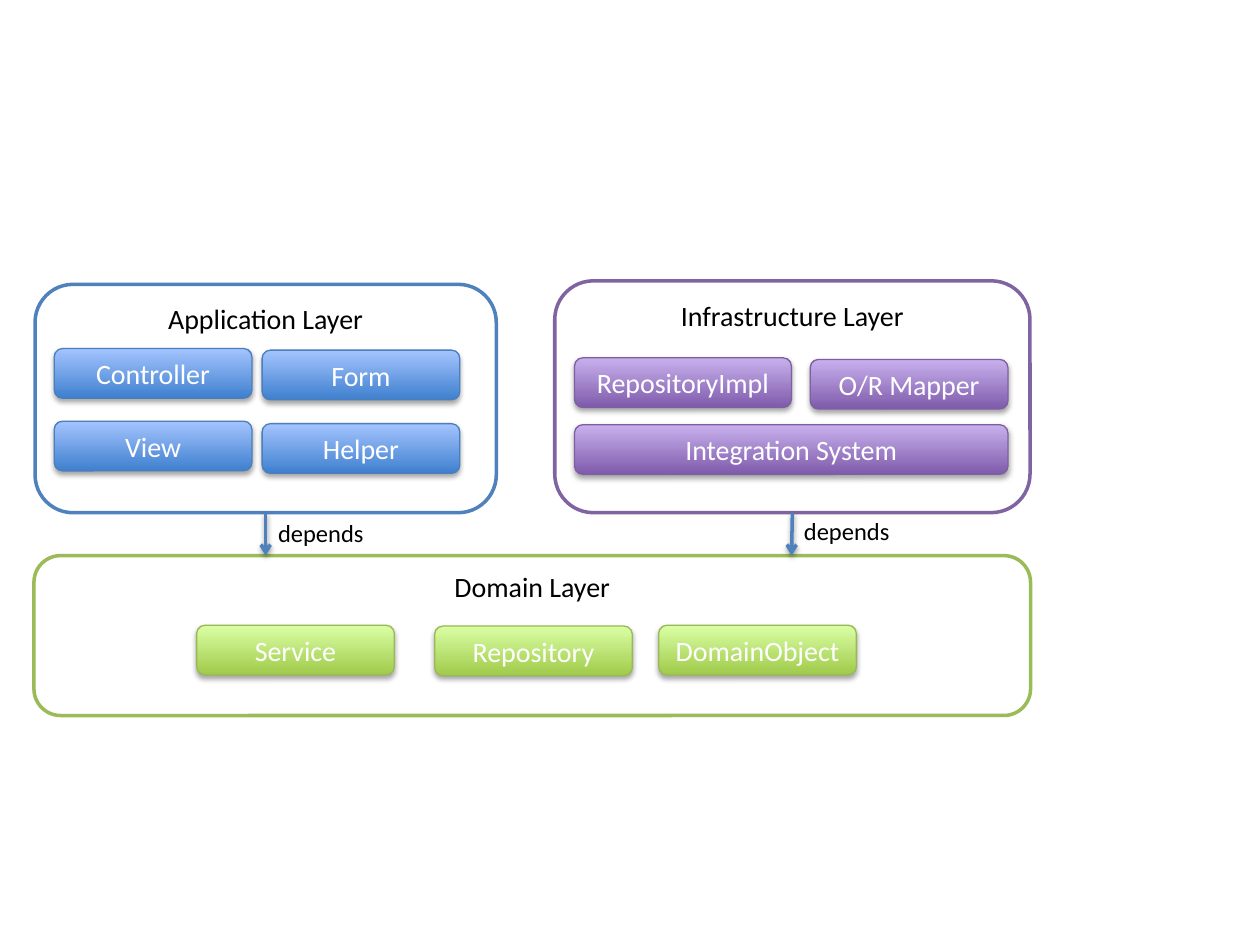
from lxml import etree
from pptx import Presentation
from pptx import util as u
from pptx.dml.color import RGBColor
from pptx.enum import shapes, text
from pptx.oxml import ns

Pt = u.Pt
BLACK = RGBColor(0x00, 0x00, 0x00)
WHITE = RGBColor(0xFF, 0xFF, 0xFF)
BLUE = RGBColor(0x4F, 0x81, 0xBD)
GREEN = RGBColor(0x9B, 0xBB, 0x59)
PURPLE = RGBColor(0x80, 0x64, 0xA2)
BLUE_BOX = (RGBColor(0x3F, 0x80, 0xCE), RGBColor(0xA4, 0xC4, 0xFF), RGBColor(0x4B, 0x7E, 0xBC))
GREEN_BOX = (RGBColor(0xA0, 0xCA, 0x4A), RGBColor(0xDA, 0xFF, 0xA5), RGBColor(0x98, 0xB9, 0x55))
PURPLE_BOX = (RGBColor(0x7F, 0x5B, 0xAB), RGBColor(0xC8, 0xB0, 0xED), RGBColor(0x7D, 0x60, 0xA0))
BOX_W, BOX_H = 113, 28.4


class Diagram:
    font = "Calibri"
    size = 16
    label_size = 14
    line_width = 2
    box_line_width = 0.75

    def __init__(self, s):
        self.s = s

    def add_words(self, sp, words, size, color, align, anchor):
        tf = sp.text_frame
        tf.word_wrap = True
        tf.vertical_anchor = anchor
        p = tf.paragraphs[0]
        p.alignment = align
        r = p.add_run()
        r.text = words
        r.font.name = self.font
        r.font.size = Pt(size)
        r.font.color.rgb = color

    def shadow(self, sp, alpha, dist):
        effects = etree.SubElement(sp._element.spPr, ns.qn("a:effectLst"))
        outer = etree.SubElement(effects, ns.qn("a:outerShdw"), blurRad=str(Pt(3.1)),
                                 dist=str(Pt(dist)), dir="5400000", rotWithShape="0")
        clr = etree.SubElement(outer, ns.qn("a:srgbClr"), val=str(BLACK))
        etree.SubElement(clr, ns.qn("a:alpha"), val=str(alpha * 1000))

    def rounded(self, x, y, w, h, line, width):
        sp = self.s.shapes.add_shape(shapes.MSO_SHAPE.ROUNDED_RECTANGLE, Pt(x), Pt(y), Pt(w), Pt(h))
        sp.line.color.rgb = line
        sp.line.width = Pt(width)
        return sp

    def layer(self, words, x, y, w, h, color):
        sp = self.rounded(x, y, w, h, color, self.line_width)
        sp.shadow.inherit = False
        sp.fill.solid()
        sp.fill.fore_color.rgb = WHITE
        self.add_words(sp, words, self.size, BLACK, text.PP_ALIGN.CENTER, text.MSO_ANCHOR.TOP)
        return sp

    def box(self, words, x, y, colors, w=BOX_W):
        bottom, top, line = colors
        sp = self.rounded(x, y, w, BOX_H, line, self.box_line_width)
        sp.fill.gradient()
        sp.fill.gradient_angle = 90
        for stop, color, position in zip(sp.fill.gradient_stops, (bottom, top), (0, 1)):
            stop.color.rgb = color
            stop.position = position
        self.shadow(sp, 35, 1.8)
        self.add_words(sp, words, self.size, WHITE, text.PP_ALIGN.CENTER, text.MSO_ANCHOR.MIDDLE)

    def arrow(self, source, x, y):
        c = self.s.shapes.add_connector(shapes.MSO_CONNECTOR.STRAIGHT, Pt(x), Pt(y), Pt(x), Pt(y))
        c.begin_connect(source, 2)
        c.line.color.rgb = BLUE
        c.line.width = Pt(self.line_width)
        etree.SubElement(c.get_or_add_ln(), ns.qn("a:tailEnd"), type="arrow")
        self.shadow(c, 38, 1.6)

    def label(self, words, x, y):
        sp = self.s.shapes.add_textbox(Pt(x), Pt(y), Pt(104.4), Pt(24.2))
        self.add_words(sp, words, self.label_size, BLACK, text.PP_ALIGN.LEFT, text.MSO_ANCHOR.TOP)
        sp.text_frame.auto_size = text.MSO_AUTO_SIZE.SHAPE_TO_FIT_TEXT


def main():
    prs = Presentation()
    prs.slide_width, prs.slide_height = Pt(720), Pt(540)
    d = Diagram(prs.slides.add_slide(prs.slide_layouts[6]))

    application = d.layer("Application Layer", 20, 162.5, 263.6, 130.5, BLUE)
    for words, x, y in (("Controller", 31, 199.2), ("Form", 149.8, 200.1),
                        ("View", 31, 240.7), ("Helper", 149.8, 242.1)):
        d.box(words, x, y, BLUE_BOX)

    d.layer("Domain Layer", 19.4, 317.5, 569.5, 91.4, GREEN)
    for words, x, y in (("Service", 112.4, 357.3), ("Repository", 248.4, 357.8),
                        ("DomainObject", 376.4, 357.3)):
        d.box(words, x, y, GREEN_BOX)

    infrastructure = d.layer("Infrastructure Layer", 317, 160.5, 271.6, 132.5, PURPLE)
    for words, x, y, w in (("RepositoryImpl", 328.3, 204.5, 124), ("O/R Mapper", 463, 205.4, BOX_W),
                           ("Integration System", 328.3, 242.7, 247.7)):
        d.box(words, x, y, PURPLE_BOX, w)

    for layer, x, y in ((application, 151.8, 292.6), (infrastructure, 452.3, 291.6)):
        d.arrow(layer, x, 317.5)
        d.label("depends", x, y)

    prs.save("out.pptx")


if __name__ == "__main__":
    main()
